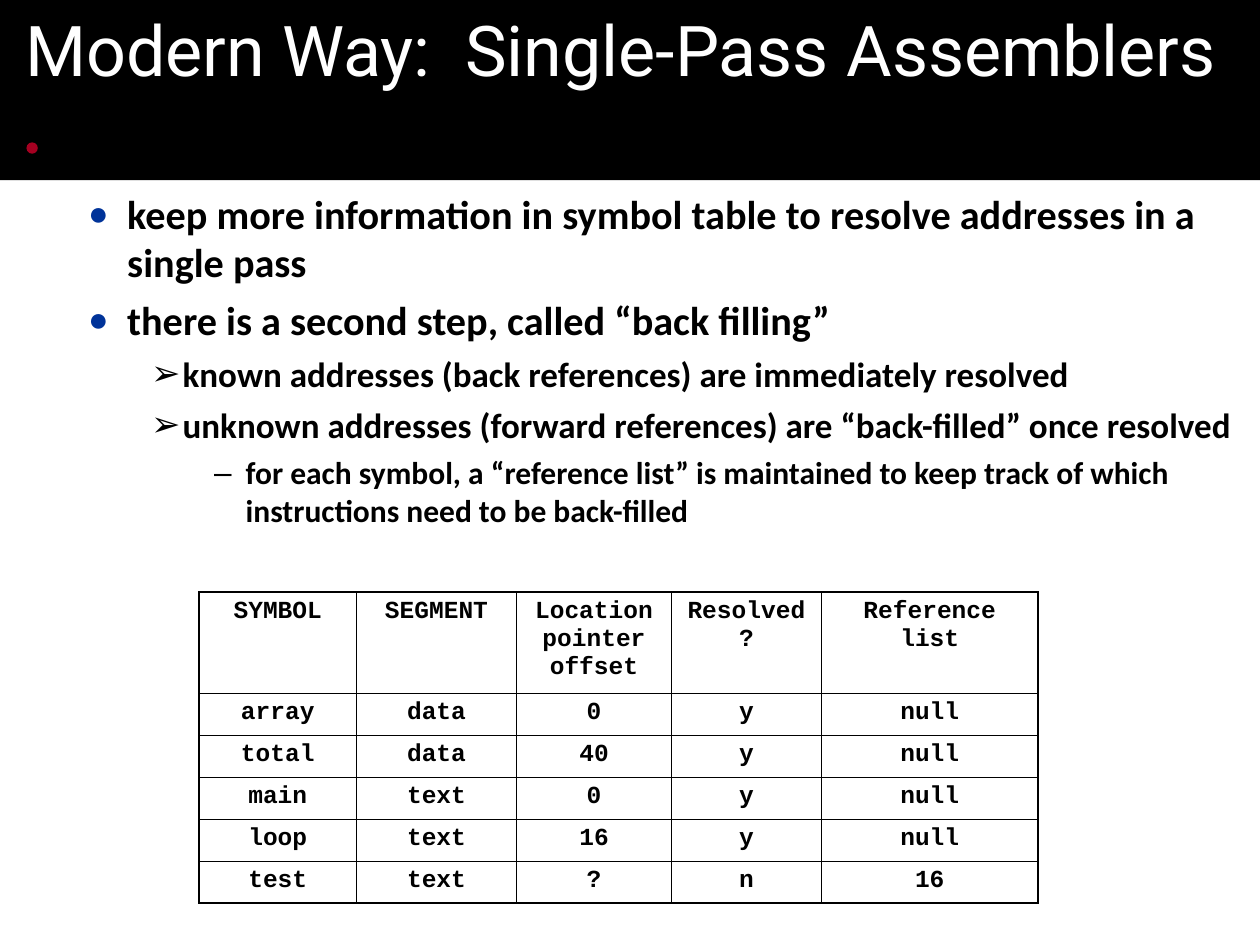
from lxml import etree
from pptx import Presentation
from pptx.dml.color import RGBColor
from pptx.enum.shapes import MSO_SHAPE
from pptx.enum.text import MSO_ANCHOR, MSO_AUTO_SIZE, PP_ALIGN
from pptx.oxml.ns import qn
from pptx.util import Inches, Pt

OVAL = MSO_SHAPE.OVAL
TOP = MSO_ANCHOR.TOP
NO_AUTOFIT = MSO_AUTO_SIZE.NONE
LEFT = PP_ALIGN.LEFT
CENTER = PP_ALIGN.CENTER

COLORS = {"black": "000000", "white": "FFFFFF", "red": "A50021", "blue": "003399"}
TITLE_FONT, BODY_FONT, TABLE_FONT = "Roboto", "Calibri", "Courier New"

LEVELS = {
    1: {"size": 23, "space": 5.8, "margin": 0.81, "hanging": 0.31,
        "character": "●", "color": "blue", "percent": 85},
    2: {"size": 20, "space": 5, "margin": 1.25, "hanging": 0.25,
        "character": "➢", "color": "black", "percent": 100},
    3: {"size": 18, "space": 4.5, "margin": 1.75, "hanging": 0.25,
        "character": "–", "color": "black", "percent": 100},
}
POINTS = [
    (1, "keep more information in symbol table to resolve addresses in a single pass"),
    (1, "there is a second step, called “back filling”"),
    (2, "known addresses (back references) are immediately resolved"),
    (2, "unknown addresses (forward references) are “back-filled” once resolved"),
    (3, "for each symbol, a “reference list” is maintained to keep track of which "
        "instructions need to be back-filled"),
]
SYMBOL_ROWS = [
    ("SYMBOL", "SEGMENT", "Location pointer offset", "Resolved?", "Reference list"),
    ("array", "data", "0", "y", "null"),
    ("total", "data", "40", "y", "null"),
    ("main", "text", "0", "y", "null"),
    ("loop", "text", "16", "y", "null"),
    ("test", "text", "?", "n", "16"),
]
COLUMN_WIDTHS = [1.25, 1.27, 1.23, 1.19, 1.72]
TABLE_HEIGHT, HEADER_HEIGHT = 2.47, 0.8
OUTER_LINE, INNER_LINE = 1.08, 0.45


def rgb(name):
    return RGBColor.from_string(COLORS[name])


def style_font(paragraph, name, size, color, bold):
    for run in paragraph.runs:
        run.font.name = name
        run.font.size = Pt(size)
        run.font.bold = bold
        run.font.color.rgb = rgb(color)


def place(shape, left, top, width, height, vertical_inset):
    shape.left, shape.top = Inches(left), Inches(top)
    shape.width, shape.height = Inches(width), Inches(height)
    frame = shape.text_frame
    frame.word_wrap = True
    frame.auto_size = NO_AUTOFIT
    frame.vertical_anchor = TOP
    frame.margin_left = frame.margin_right = Inches(0.2)
    frame.margin_top = frame.margin_bottom = Inches(vertical_inset)
    return frame


def fill_title(shape):
    frame = place(shape, 0, 0, 10, 1.43, 0.05)
    shape.fill.solid()
    shape.fill.fore_color.rgb = rgb("black")
    frame.text = "Modern Way:  Single-Pass Assemblers"
    paragraph = frame.paragraphs[0]
    paragraph.alignment = LEFT
    style_font(paragraph, TITLE_FONT, 40, "white", False)


def add_title_dot(slide):
    dot = slide.shapes.add_shape(OVAL, Inches(0.21), Inches(1.13), Inches(0.09), Inches(0.09))
    dot.shadow.inherit = False
    dot.fill.solid()
    dot.fill.fore_color.rgb = rgb("red")
    dot.line.fill.background()


def add_bullet(paragraph, style):
    properties = paragraph._p.get_or_add_pPr()
    properties.set("marL", str(Inches(style["margin"])))
    properties.set("indent", str(-Inches(style["hanging"])))
    bullet_color = etree.SubElement(properties, qn("a:buClr"))
    etree.SubElement(bullet_color, qn("a:srgbClr"), val=COLORS[style["color"]])
    etree.SubElement(properties, qn("a:buSzPct"), val=str(style["percent"] * 1000))
    etree.SubElement(properties, qn("a:buChar"), char=style["character"])


def fill_body(shape):
    frame = place(shape, 0, 1.35, 10, 6.15, 0.15)
    frame.text = "\n".join(text for _, text in POINTS)
    for index, (paragraph, (level, _)) in enumerate(zip(frame.paragraphs, POINTS)):
        style = LEVELS[level]
        paragraph.level = level
        add_bullet(paragraph, style)
        paragraph.space_before = Pt(style["space"] if index else 0)
        style_font(paragraph, BODY_FONT, style["size"], "black", True)


def add_border(cell, side, width):
    properties = cell._tc.get_or_add_tcPr()
    line = etree.SubElement(properties, qn(f"a:ln{side}"), w=str(Pt(width)))
    solid = etree.SubElement(line, qn("a:solidFill"))
    etree.SubElement(solid, qn("a:srgbClr"), val=COLORS["black"])


def fill_cell(cell, text, outer_sides):
    for side in "LRTB":
        add_border(cell, side, OUTER_LINE if side in outer_sides else INNER_LINE)
    cell.fill.background()
    cell.vertical_anchor = TOP
    cell.margin_left = cell.margin_right = Inches(0.1)
    cell.margin_top = cell.margin_bottom = Inches(0.05)
    cell.text_frame.text = text
    paragraph = cell.text_frame.paragraphs[0]
    paragraph.alignment = CENTER
    paragraph.space_before = Pt(0)
    style_font(paragraph, TABLE_FONT, 14, "black", True)


def add_symbol_table(slide):
    last_row, last_column = len(SYMBOL_ROWS) - 1, len(COLUMN_WIDTHS) - 1
    row_height = (TABLE_HEIGHT - HEADER_HEIGHT) / last_row
    table = slide.shapes.add_table(
        last_row + 1, last_column + 1,
        Inches(1.58), Inches(4.7), Inches(sum(COLUMN_WIDTHS)), Inches(TABLE_HEIGHT),
    ).table
    table.first_row = table.horz_banding = False
    for column, width in zip(table.columns, COLUMN_WIDTHS):
        column.width = Inches(width)
    for r, texts in enumerate(SYMBOL_ROWS):
        table.rows[r].height = Inches(row_height if r else HEADER_HEIGHT)
        for c, text in enumerate(texts):
            edges = {"L": c == 0, "R": c == last_column, "T": r == 0, "B": r == last_row}
            outer_sides = [side for side, is_outer in edges.items() if is_outer]
            fill_cell(table.cell(r, c), text, outer_sides)


def main():
    presentation = Presentation()
    presentation.slide_width = Inches(10)
    presentation.slide_height = Inches(7.5)
    slide = presentation.slides.add_slide(presentation.slide_layouts[1])
    fill_title(slide.shapes.title)
    fill_body(slide.placeholders[1])
    add_title_dot(slide)
    add_symbol_table(slide)
    presentation.save("out.pptx")


if __name__ == "__main__":
    main()
